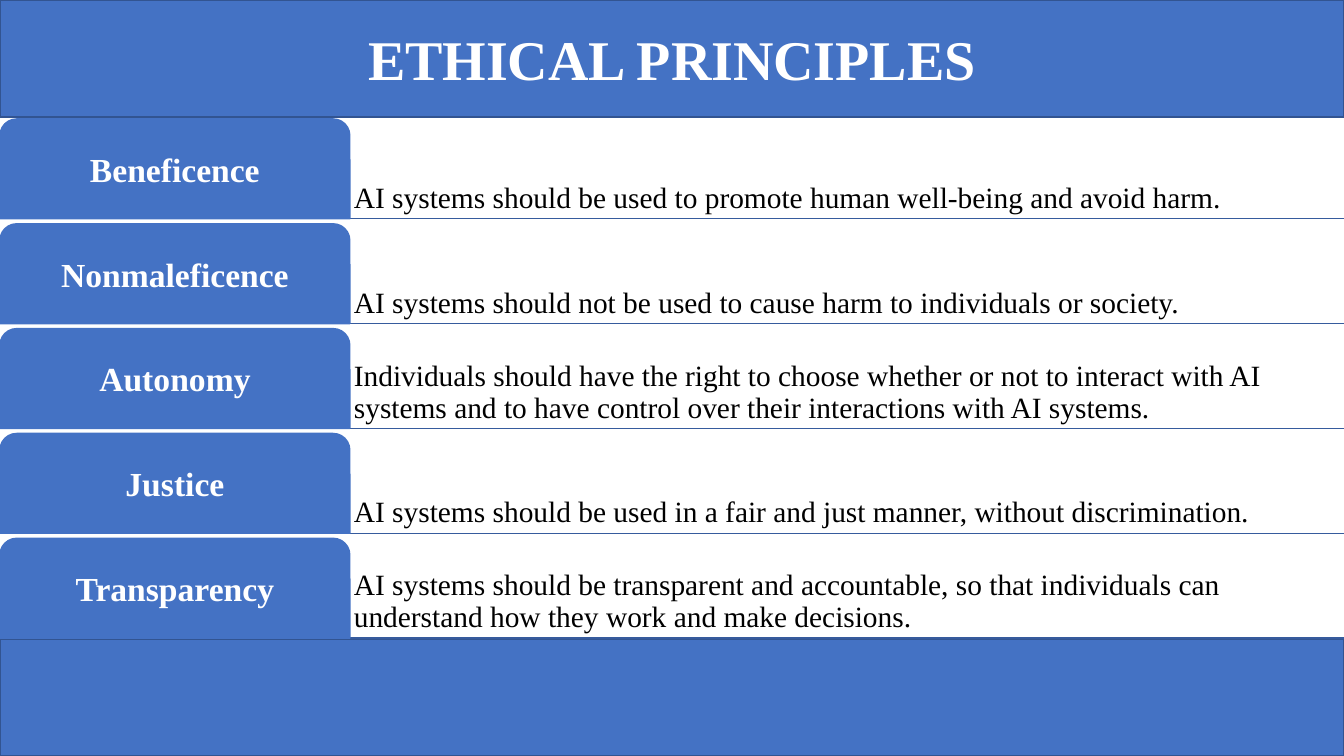
from lxml import etree
from pptx import Presentation
from pptx.dml.color import RGBColor
from pptx.enum.shapes import MSO_CONNECTOR, MSO_SHAPE
from pptx.enum.text import MSO_ANCHOR, MSO_AUTO_SIZE, PP_ALIGN
from pptx.oxml.ns import qn
from pptx.util import Inches, Pt

RECT = MSO_SHAPE.RECTANGLE
TAB = MSO_SHAPE.ROUND_2_SAME_RECTANGLE
STRAIGHT = MSO_CONNECTOR.STRAIGHT
CENTER, LEFT = PP_ALIGN.CENTER, PP_ALIGN.LEFT
MIDDLE, BOTTOM = MSO_ANCHOR.MIDDLE, MSO_ANCHOR.BOTTOM
NO_AUTOSIZE = MSO_AUTO_SIZE.NONE

WIDTH, HEIGHT = 13.33, 7.5
BAND_HEIGHT = 1.16
TAB_WIDTH, TAB_HEIGHT = 3.47, 0.99
FIRST_ROW, ROW_STEP = 1.18, 1.04

PRINCIPLES = [
    ("Beneficence",
     "AI systems should be used to promote human well-being and avoid harm."),
    ("Nonmaleficence",
     "AI systems should not be used to cause harm to individuals or society."),
    ("Autonomy",
     "Individuals should have the right to choose whether or not to interact with AI "
     "systems and to have control over their interactions with AI systems."),
    ("Justice",
     "AI systems should be used in a fair and just manner, without discrimination."),
    ("Transparency",
     "AI systems should be transparent and accountable, so that individuals can "
     "understand how they work and make decisions."),
]


def rgb(value):
    return RGBColor.from_string(value)


class SlideBuilder:
    """Holds the deck's style and the slide being filled."""

    font = "Times New Roman"
    blue, band_edge, rule_color = "4472C4", "325491", "365B9D"
    white, black = "FFFFFF", "000000"

    def __init__(self, slide):
        self.slide = slide

    def paint(self, sp, edge):
        sp.fill.solid()
        sp.fill.fore_color.rgb = rgb(self.blue)
        sp.line.color.rgb = rgb(edge)
        sp.line.width = Pt(1)

    def add_text(self, sp, text, size, color, bold, align, anchor, inset, spacing):
        tf = sp.text_frame
        tf.word_wrap = True
        tf.auto_size = NO_AUTOSIZE
        tf.vertical_anchor = anchor
        tf.margin_left = tf.margin_right = Inches(inset)
        tf.margin_top = tf.margin_bottom = Inches(inset)
        p = tf.paragraphs[0]
        p.alignment = align
        p.line_spacing = spacing
        r = p.add_run()
        r.text = text
        r.font.name = self.font
        r.font.size = Pt(size)
        r.font.bold = bold
        r.font.color.rgb = rgb(color)

    def title(self, text):
        sp = self.slide.shapes.title
        sp.left, sp.top = Inches(0), Inches(0)
        sp.width, sp.height = Inches(WIDTH), Inches(BAND_HEIGHT)
        self.paint(sp, self.band_edge)
        self.add_text(sp, text, 40, self.white, True, CENTER, MIDDLE, 0.05, 1.0)

    def shape(self, kind, left, top, width, height, edge):
        sp = self.slide.shapes.add_shape(
            kind, Inches(left), Inches(top), Inches(width), Inches(height))
        sp.shadow.inherit = False
        self.paint(sp, edge)
        return sp

    def rule(self, y):
        line = self.slide.shapes.add_connector(
            STRAIGHT, Inches(0), Inches(y), Inches(WIDTH), Inches(y))
        line.line.color.rgb = rgb(self.rule_color)
        line.line.width = Pt(1)
        etree.SubElement(line._element.spPr, qn("a:effectLst"))

    def tab(self, text, top):
        sp = self.shape(TAB, 0, top, TAB_WIDTH, TAB_HEIGHT, self.blue)
        self.add_text(sp, text, 24, self.white, True, CENTER, MIDDLE, 0.05, 0.9)

    def description(self, text, top):
        sp = self.slide.shapes.add_textbox(
            Inches(TAB_WIDTH), Inches(top),
            Inches(WIDTH - TAB_WIDTH), Inches(TAB_HEIGHT))
        self.add_text(sp, text, 21, self.black, False, LEFT, BOTTOM, 0.04, 0.9)


def main():
    prs = Presentation()
    prs.slide_width, prs.slide_height = Inches(WIDTH), Inches(HEIGHT)
    s = SlideBuilder(prs.slides.add_slide(prs.slide_layouts[5]))
    s.title("ETHICAL PRINCIPLES")
    s.shape(RECT, 0, HEIGHT - BAND_HEIGHT, WIDTH, BAND_HEIGHT, s.band_edge)
    for i, (name, meaning) in enumerate(PRINCIPLES):
        top = FIRST_ROW + i * ROW_STEP
        s.rule(top + TAB_HEIGHT)
        s.description(meaning, top)
        s.tab(name, top)
    prs.save("out.pptx")


if __name__ == "__main__":
    main()
